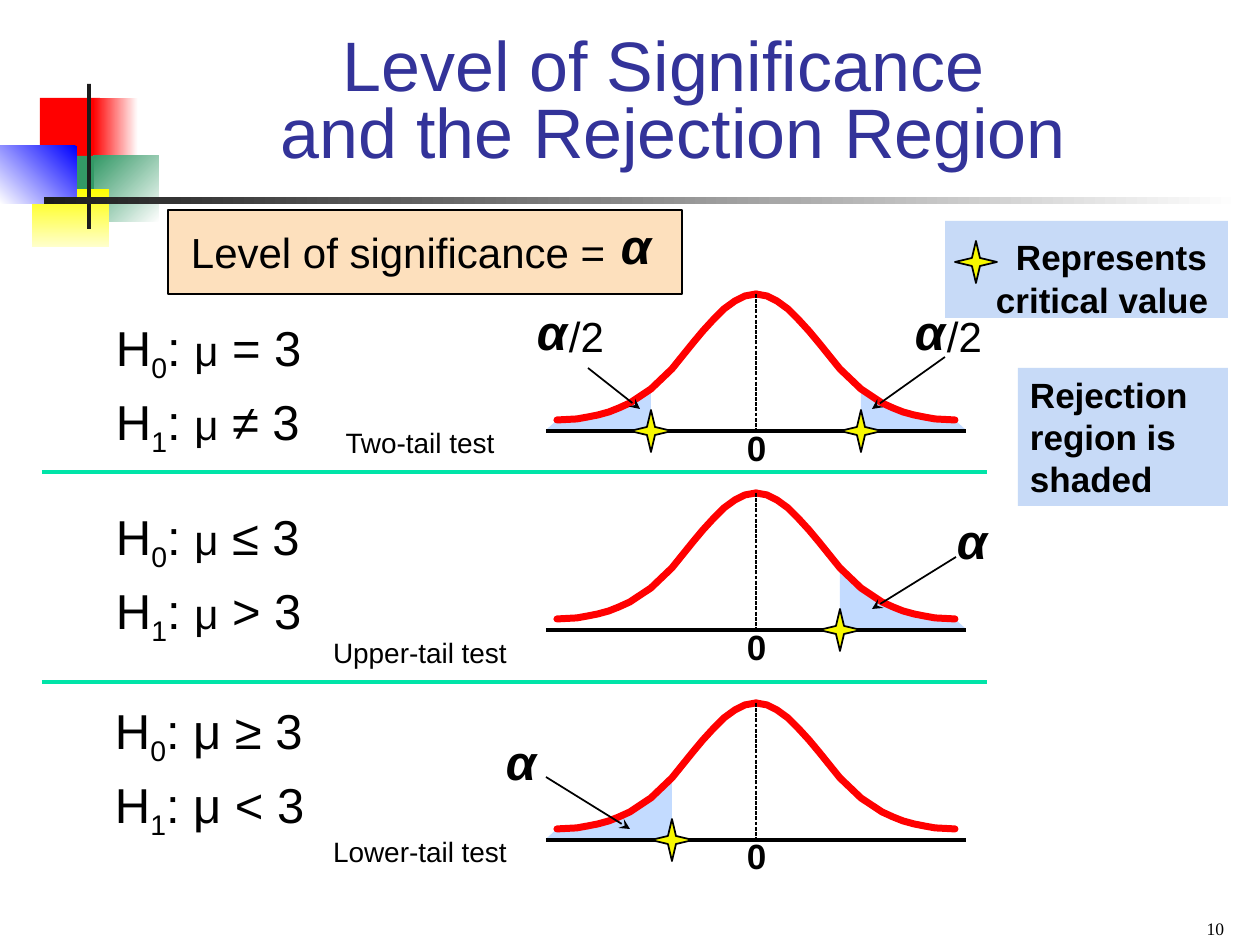
"""Build the slide on the level of significance and the rejection region."""
import pptx
import pptx.util
from lxml import etree
from pptx.dml.color import RGBColor
from pptx.enum.dml import MSO_LINE
from pptx.enum.shapes import MSO_CONNECTOR, MSO_SHAPE
from pptx.enum.text import MSO_ANCHOR, PP_ALIGN
from pptx.oxml.ns import qn

PX = 7257
BLACK = RGBColor(0x00, 0x00, 0x00)
WHITE = RGBColor(0xFF, 0xFF, 0xFF)
CHARCOAL = RGBColor(0x1C, 0x1C, 0x1C)
RED = RGBColor(0xFF, 0x00, 0x00)
GREEN = RGBColor(0x33, 0x99, 0x66)
BLUE = RGBColor(0x00, 0x00, 0xFF)
YELLOW = RGBColor(0xFF, 0xFF, 0x00)
CREAM = RGBColor(0xFF, 0xFF, 0xCC)
PEACH = RGBColor(0xFD, 0xE0, 0xBD)
NAVY = RGBColor(0x33, 0x33, 0x99)
NOTE = RGBColor(0xC7, 0xDA, 0xF7)
SHADE = RGBColor(0xC3, 0xDB, 0xFF)
STAR = RGBColor(0xF8, 0xF8, 0x00)
MINT = RGBColor(0x00, 0xE4, 0xA8)

deck = pptx.Presentation()
deck.slide_width = pptx.util.Inches(10)
deck.slide_height = pptx.util.Inches(7.5)
page = deck.slides.add_slide(deck.slide_layouts[5])
shapes = page.shapes


def write(box, paragraphs, bold=False, italic=False, align=PP_ALIGN.LEFT,
          spacing=1.0, anchor=MSO_ANCHOR.TOP, color=BLACK, font="Arial"):
    """Fill a shape with paragraphs of (text, size, is subscript) runs."""
    frame = box.text_frame
    frame.word_wrap = True
    frame.vertical_anchor = anchor
    frame.margin_left = frame.margin_right = 12 * PX
    frame.margin_top = frame.margin_bottom = 6 * PX
    for index, runs in enumerate(paragraphs):
        para = frame.add_paragraph() if index else frame.paragraphs[0]
        para.alignment = align
        para.line_spacing = spacing
        for text, size, subscript in runs:
            span = para.add_run()
            span.text = text
            span.font.name = font
            span.font.size = pptx.util.Pt(size)
            span.font.bold = bold
            span.font.italic = italic
            span.font.color.rgb = color
            if subscript:
                span.font._element.set("baseline", "-25000")


def outline(points, fill, line, width, closed=True):
    """Draw a freeform through points given in px."""
    builder = shapes.build_freeform(*points[0], scale=PX)
    builder.add_line_segments(points[1:], close=closed)
    shape = builder.convert_to_shape()
    shape.shadow.inherit = False
    if fill is None:
        shape.fill.background()
    else:
        shape.fill.solid()
        shape.fill.fore_color.rgb = fill
    if line is None:
        shape.line.fill.background()
    else:
        shape.line.color.rgb = line
        shape.line.width = pptx.util.Pt(width)
        shape._element.spPr.find(qn("a:ln")).set("cap", "rnd")


panels = []
for left, top, width, height, start, end, angle, text in [
    (40, 98, 60, 66, RED, None, 0, ""),
    (93, 98, 45, 66, WHITE, RED, 180, ""),
    (94, 156, 65, 66, WHITE, GREEN, 135, ""),
    (54, 156, 40, 66, GREEN, None, 0, ""),
    (32, 189, 77, 58, YELLOW, CREAM, 270, ""),
    (0, 146, 77, 58, BLUE, WHITE, 225, ""),
    (87, 84, 4, 145, CHARCOAL, None, 0, ""),
    (44, 197, 1198, 7, WHITE, CHARCOAL, 180, ""),
    (168, 210, 514, 84, PEACH, None, 0, ""),
    (945, 221, 283, 97, NOTE, None, 0, ""),
    (1018, 368, 210, 138, NOTE, None, 0, "Rejection region is shaded"),
]:
    panel = shapes.add_shape(MSO_SHAPE.RECTANGLE, left * PX, top * PX, width * PX, height * PX)
    panel.shadow.inherit = False
    panel.line.fill.background()
    if end is None:
        panel.fill.solid()
        panel.fill.fore_color.rgb = start
    else:
        panel.fill.gradient()
        panel.fill.gradient_angle = angle
        for stop, color in zip(panel.fill.gradient_stops, (start, end)):
            stop.color.rgb = color
    if text:
        write(panel, [[(text, 20, False)]], bold=True)
    panels.append(panel)

level, legend = panels[8:10]
level.line.color.rgb = BLACK
level.line.width = pptx.util.Pt(0.75)
write(legend, [[("Represents", 20, False)], [("critical value", 20, False)]], bold=True)
legend.text_frame.margin_top = 15 * PX
for para, indent in zip(legend.text_frame.paragraphs, (59, 39)):
    para._p.get_or_add_pPr().set("marL", str(indent * PX))

title = shapes.title
title.left, title.top, title.width, title.height = 136 * PX, 42 * PX, 1074 * PX, 136 * PX
write(title, [[("Level of Significance ", 40, False)]], align=PP_ALIGN.CENTER,
      spacing=0.8, anchor=MSO_ANCHOR.BOTTOM, color=NAVY)
heading = title.text_frame.paragraphs[0]
heading.add_line_break()
span = heading.add_run()
span.text = "and the Rejection Region"
span.font.name = "Arial"
span.font.size = pptx.util.Pt(40)
span.font.color.rgb = NAVY

CENTER = 756
BELL = [(199, 11), (179, 12), (168, 14), (158, 16), (147, 19), (137, 23), (126, 28), (105, 42),
        (84, 62), (63, 88), (53, 100), (42, 112), (32, 122), (21, 130), (11, 135), (0, 137)]
TAIL = [(210, 1), (199, 11), (156, 17), (135, 25), (110, 40)]
SPARK = [(21, 0), (4, -4), (0, -21), (-4, -4), (-21, 0), (-4, 4), (0, 21), (4, 4)]

lines = [(42, y, 987, y, MINT, 2.25, "") for y in (472, 682)]
stars = [(976, 262)]
labels = []
for name, axis, sides, cut, height, left, top, mu, signs, arrows, caption in [
    ("Two-tail test", 431, (-1, 1), 105, 42, 104, 305, 24, "=≠",
     [(588, 368, 640, 409), (945, 357, 872, 409)], 420),
    ("Upper-tail test", 630, (1,), 84, 62, 104, 494, 24, "≤>", [(956, 557, 872, 609)], 630),
    ("Lower-tail test", 840, (-1,), 84, 62, 103, 688, 28, "≥<", [(546, 777, 630, 829)], 829),
]:
    for side in sides:
        region = TAIL + [(cut, height), (cut, 0), (210, 0)]
        outline([(CENTER + side * x, axis - y) for x, y in region], SHADE, None, 0)
        stars.append((CENTER + side * cut, axis))
    for side in (-1, 1):
        outline([(CENTER + side * x, axis - y) for x, y in BELL], None, RED, 4, closed=False)
    lines.append((546, axis, 966, axis, BLACK, 2, ""))
    lines.append((CENTER, axis - 137, CENTER, axis, BLACK, 0.75, "dash"))
    lines += [(*arrow, BLACK, 1, "arrow") for arrow in arrows]
    labels.append((735, axis - 11, 42, 54, "0", 20, True, False, PP_ALIGN.LEFT))
    labels.append((315, caption, 210, 45, name, 16, False, False, PP_ALIGN.CENTER))
    hypotheses = shapes.add_textbox(left * PX, top * PX, 295 * PX, 159 * PX)
    write(hypotheses, [
        [("H", 28, False), (digit, 28, True), (": ", 28, False), ("μ", mu, False),
         (f" {sign} 3", 28, False)]
        for digit, sign in zip("01", signs)
    ], spacing=1.1)

for x1, y1, x2, y2, color, width, style in lines:
    line = shapes.add_connector(MSO_CONNECTOR.STRAIGHT, x1 * PX, y1 * PX, x2 * PX, y2 * PX)
    line.line.color.rgb = color
    line.line.width = pptx.util.Pt(width)
    properties = line._element.spPr
    if style == "dash":
        line.line.dash_style = MSO_LINE.SQUARE_DOT
    if style == "arrow":
        etree.SubElement(properties.find(qn("a:ln")), qn("a:tailEnd"), type="stealth")
    etree.SubElement(properties, qn("a:effectLst"))

for x, y in stars:
    outline([(x + dx, y + dy) for dx, dy in SPARK], STAR, BLACK, 1)

labels.append((179, 221, 461, 63, "Level of significance =", 24, False, False, PP_ALIGN.LEFT))
for left, top in [(609, 210), (525, 295), (903, 295), (945, 504), (494, 725)]:
    labels.append((left, top, 73, 71, "α", 28, True, True, PP_ALIGN.LEFT))
for left in (557, 935):
    labels.append((left, 305, 84, 63, "/2", 24, False, False, PP_ALIGN.LEFT))
for left, top, width, height, text, size, bold, italic, align in labels:
    box = shapes.add_textbox(left * PX, top * PX, width * PX, height * PX)
    write(box, [[(text, size, False)]], bold, italic, align)

number = shapes.add_textbox(942 * PX, 901 * PX, 294 * PX, 44 * PX)
write(number, [[("10", 10, False)]], align=PP_ALIGN.RIGHT, anchor=MSO_ANCHOR.BOTTOM,
      font="Times New Roman")

deck.save("out.pptx")
